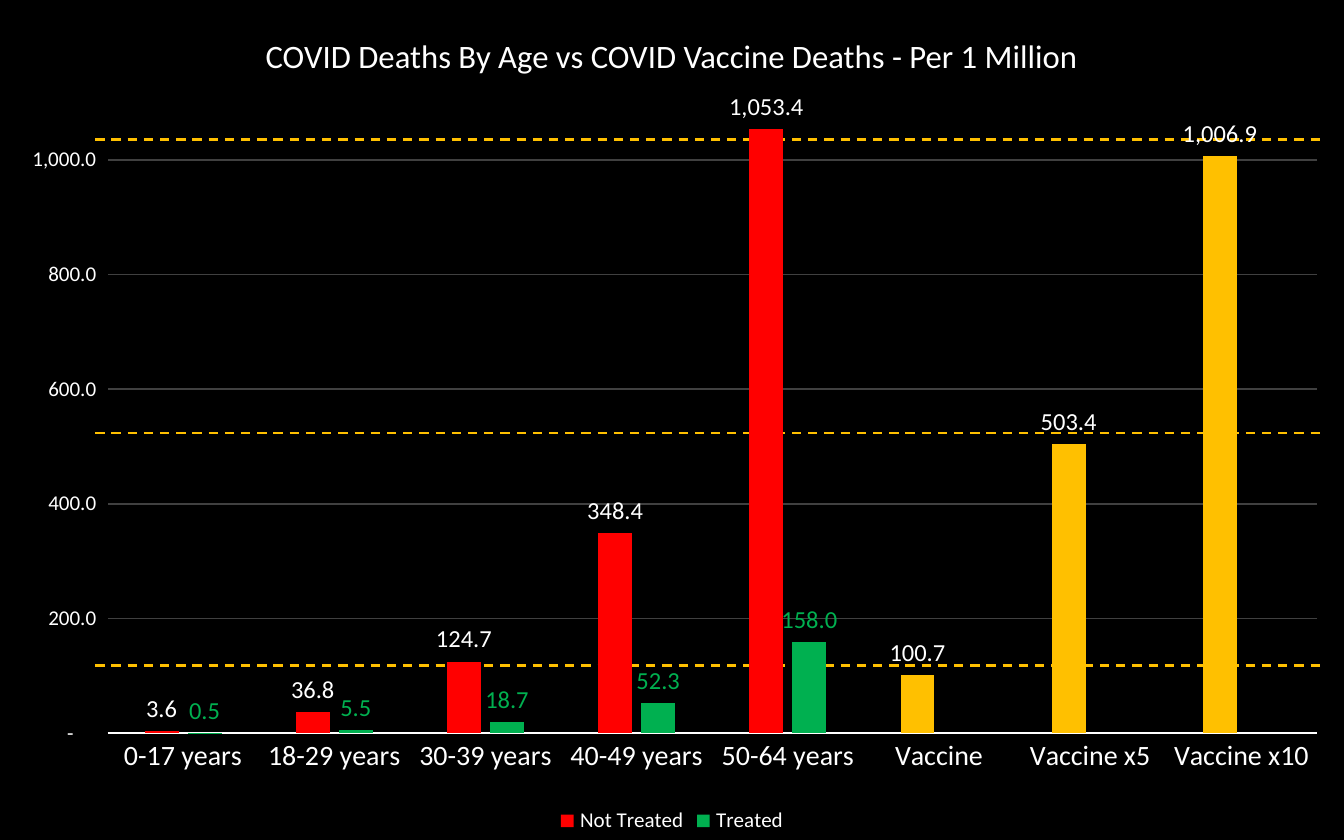
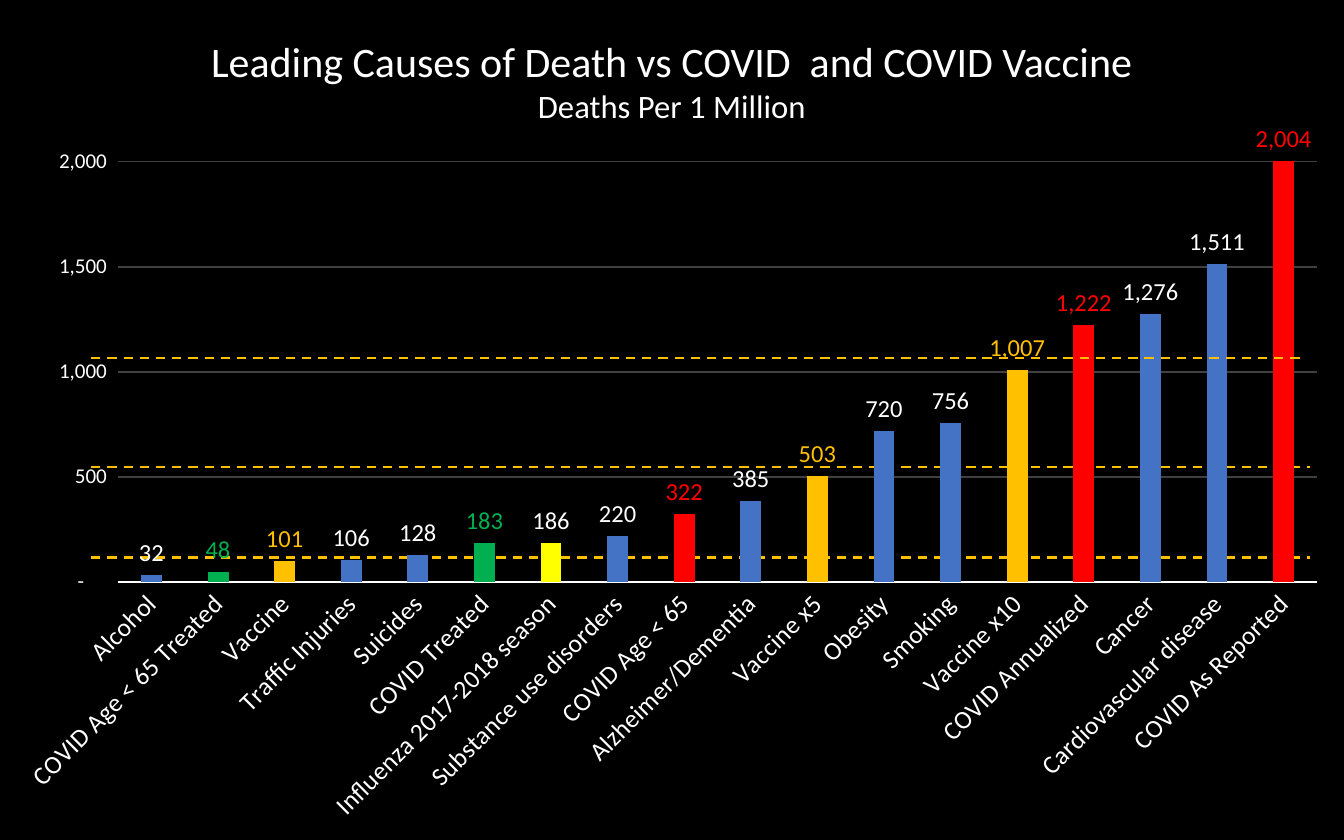
from lxml.etree import SubElement
from pptx import Presentation
from pptx.chart.data import CategoryChartData
from pptx.dml.color import RGBColor
from pptx.enum.chart import (XL_CHART_TYPE as ChartType, XL_LABEL_POSITION as LabelPosition,
                             XL_LEGEND_POSITION as LegendPosition, XL_TICK_MARK as TickMark)
from pptx.enum.dml import MSO_LINE_DASH_STYLE as Dash
from pptx.enum.shapes import MSO_CONNECTOR as Connector
from pptx.enum.text import MSO_ANCHOR as Anchor, MSO_AUTO_SIZE as AutoSize, PP_ALIGN as Align
from pptx.oxml import parse_xml
from pptx.oxml.ns import nsdecls, qn
from pptx.util import Cm, Pt

# Shared style
BLACK = RGBColor(0x00, 0x00, 0x00)
WHITE = RGBColor(0xFF, 0xFF, 0xFF)
GREY = RGBColor(0x40, 0x40, 0x40)
RED = RGBColor(0xFF, 0x00, 0x00)
GREEN = RGBColor(0x00, 0xB0, 0x50)
GOLD = RGBColor(0xFF, 0xC0, 0x00)
YELLOW = RGBColor(0xFF, 0xFF, 0x00)
BLUE = RGBColor(0x44, 0x72, 0xC4)
FONT = "Calibri"
WIDTH, HEIGHT = Cm(20.32), Cm(12.7)
ONE_DECIMAL = r'_(* #,##0.0_);_(* \(#,##0.0\);_(* "-"??_);_(@_)'
WHOLE = r'_(* #,##0_);_(* \(#,##0\);_(* "-"??_);_(@_)'


class Deck:
    """Dark chart slides with a centred title and dashed vaccine levels."""

    def __init__(self):
        self.prs = Presentation()
        self.prs.slide_width, self.prs.slide_height = WIDTH, HEIGHT
        background = self.prs.slide_master.background.fill
        background.solid()
        background.fore_color.rgb = BLACK

    def style(self, font, size, color=WHITE):
        font.name, font.size, font.bold = FONT, Pt(size), False
        font.color.rgb = color

    def start_slide(self, *title_lines):
        """Each title line is a (text, size) pair."""
        self.slide = self.prs.slides.add_slide(self.prs.slide_layouts[5])
        title = self.slide.shapes.title
        title.left, title.top, title.width, title.height = 0, Cm(0.54), WIDTH, Cm(1.4)
        frame = title.text_frame
        frame.auto_size = AutoSize.NONE
        frame.vertical_anchor = Anchor.TOP
        frame.margin_top = frame.margin_bottom = 0
        for number, (text, size) in enumerate(title_lines):
            paragraph = frame.add_paragraph() if number else frame.paragraphs[0]
            paragraph.alignment = Align.CENTER
            run = paragraph.add_run()
            run.text = text
            self.style(run.font, size)

    def level(self, left, right, y):
        line = self.slide.shapes.add_connector(Connector.STRAIGHT, Cm(left), Cm(y), Cm(right), Cm(y))
        line.line.color.rgb = GOLD
        line.line.width = Pt(1)
        line.line.dash_style = Dash.DASH
        SubElement(line._element.spPr, qn("a:effectLst"))

    def columns(self, categories, series, number_format, top, step, category_size, plot_area):
        """Each series is (name, values, bar colour, label colour)."""
        data = CategoryChartData(number_format=number_format)
        data.categories = categories
        for name, values, *_ in series:
            data.add_series(name, values)
        chart = self.slide.shapes.add_chart(
            ChartType.COLUMN_CLUSTERED, 0, 0, WIDTH, HEIGHT, data).chart
        chart.has_title = chart.has_legend = False
        self.style(chart.font, 10)
        self.clear_background(chart)
        self.place_plot(chart, *plot_area)

        plot = chart.plots[0]
        plot.gap_width, plot.overlap, plot.vary_by_categories = 219, -27, False
        for drawn, (_, _, bar_color, label_color) in zip(plot.series, series):
            drawn.invert_if_negative = False
            self.fill(drawn, bar_color)
            labels = drawn.data_labels
            labels.show_value = True
            labels.number_format, labels.number_format_is_linked = number_format, False
            labels.position = LabelPosition.OUTSIDE_END
            self.style(labels.font, 10.5, label_color)

        self.axes(chart, number_format, top, step, category_size)
        return chart

    def axes(self, chart, number_format, top, step, category_size):
        values, categories = chart.value_axis, chart.category_axis
        for axis, size in ((values, 9), (categories, category_size)):
            axis.major_tick_mark = axis.minor_tick_mark = TickMark.NONE
            self.style(axis.tick_labels.font, size)
        values.minimum_scale, values.maximum_scale, values.major_unit = 0, top, step
        values.tick_labels.number_format = number_format
        values.tick_labels.number_format_is_linked = False
        values.format.line.fill.background()
        for line, color in ((values.major_gridlines.format.line, GREY),
                            (categories.format.line, WHITE)):
            line.color.rgb, line.width = color, Pt(0.75)

    def fill(self, bar, color):
        bar.format.fill.solid()
        bar.format.fill.fore_color.rgb = color

    def recolor(self, series, index, color, label_color=None):
        point = series.points[index]
        self.fill(point, color)
        if label_color is not None:
            self.style(point.data_label.font, 10.5, label_color)
            point.data_label.position = LabelPosition.OUTSIDE_END

    def legend(self, chart):
        chart.has_legend = True
        chart.legend.position = LegendPosition.BOTTOM
        chart.legend.include_in_layout = False
        self.style(chart.legend.font, 9)

    def clear_background(self, chart):
        chart._chartSpace.find(qn("c:chart")).addnext(parse_xml(
            f'<c:spPr {nsdecls("c", "a")}><a:noFill/><a:ln><a:noFill/></a:ln></c:spPr>'))

    def place_plot(self, chart, x, y, w, h):
        """Place the inner plot area, in fractions of the chart."""
        plot_area = chart._chartSpace.find(qn("c:chart")).find(qn("c:plotArea"))
        for old in plot_area.findall(qn("c:layout")):
            plot_area.remove(old)
        sizes = "".join(f'<c:{tag} val="{value}"/>' for tag, value in (
            ("layoutTarget", "inner"), ("xMode", "edge"), ("yMode", "edge"),
            ("x", x), ("y", y), ("w", w), ("h", h)))
        plot_area.insert(0, parse_xml(
            f'<c:layout {nsdecls("c")}><c:manualLayout>{sizes}</c:manualLayout></c:layout>'))

    def slant_categories(self, chart):
        body = chart.category_axis._element.find(qn("c:txPr")).find(qn("a:bodyPr"))
        body.set("rot", "-2700000")
        body.set("vert", "horz")


deck = Deck()

# Slide 1: deaths by age
deck.start_slide(("COVID Deaths By Age vs COVID Vaccine Deaths - Per 1 Million", 14))
for y in (2.11, 6.55, 10.06):
    deck.level(1.44, 20, y)
ages = ["0-17 years", "18-29 years", "30-39 years", "40-49 years", "50-64 years",
        "Vaccine", "Vaccine x5", "Vaccine x10"]
not_treated = [3.6, 36.8, 124.7, 348.4, 1053.4, 100.7, 503.4, 1006.9]
treated = [0.5, 5.5, 18.7, 52.3, 158, None, None, None]
by_age = deck.columns(
    ages, [("Not Treated", not_treated, RED, WHITE), ("Treated", treated, GREEN, GREEN)],
    ONE_DECIMAL, top=1100, step=200, category_size=12, plot_area=(0.08, 0.122, 0.9, 0.751))
for index, age in enumerate(ages):
    if age.startswith("Vaccine"):
        deck.recolor(by_age.plots[0].series[0], index, GOLD)
deck.legend(by_age)

# Slide 2: leading causes of death
deck.start_slide(("Leading Causes of Death vs COVID  and COVID Vaccine", 18),
                 ("Deaths Per 1 Million", 14))
for y in (8.43, 7.06):
    deck.level(1.38, 19.8, y)
causes = [
    ("Alcohol", 32, BLUE), ("COVID Age < 65 Treated", 48, GREEN), ("Vaccine", 101, GOLD),
    ("Traffic Injuries", 106, BLUE), ("Suicides", 128, BLUE), ("COVID Treated", 183, GREEN),
    ("Influenza 2017-2018 season", 186, YELLOW), ("Substance use disorders", 220, BLUE),
    ("COVID Age < 65", 322, RED), ("Alzheimer/Dementia", 385, BLUE), ("Vaccine x5", 503, GOLD),
    ("Obesity", 720, BLUE), ("Smoking", 756, BLUE), ("Vaccine x10", 1007, GOLD),
    ("COVID Annualized", 1222, RED), ("Cancer", 1276, BLUE),
    ("Cardiovascular disease", 1511, BLUE), ("COVID As Reported", 2004, RED),
]
names, deaths, colors = zip(*causes)
by_cause = deck.columns(
    names, [("Series 1", deaths, BLUE, WHITE)],
    WHOLE, top=2010, step=500, category_size=11, plot_area=(0.088, 0.19, 0.892, 0.503))
for index, color in enumerate(colors):
    if color != BLUE:
        deck.recolor(by_cause.plots[0].series[0], index, color,
                     None if color == YELLOW else color)
deck.slant_categories(by_cause)
deck.level(1.38, 19.74, 5.41)

deck.prs.save("out.pptx")
